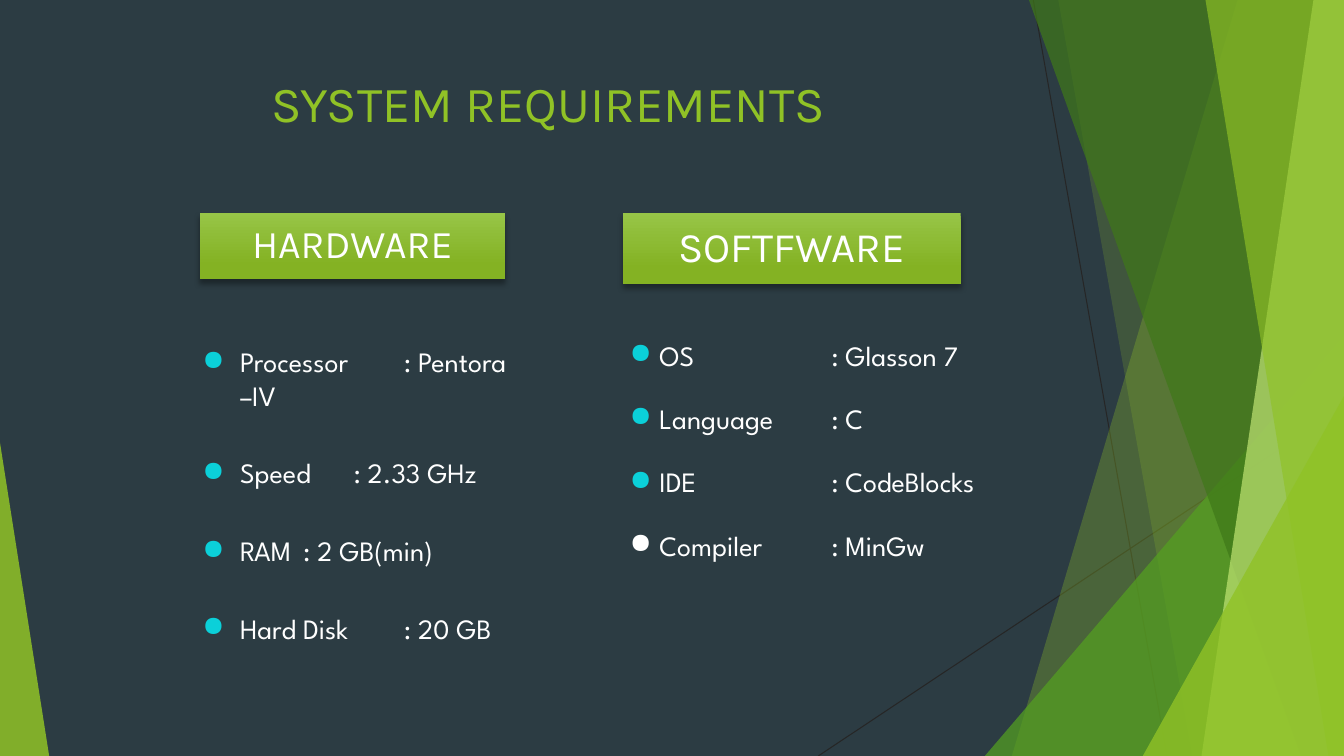
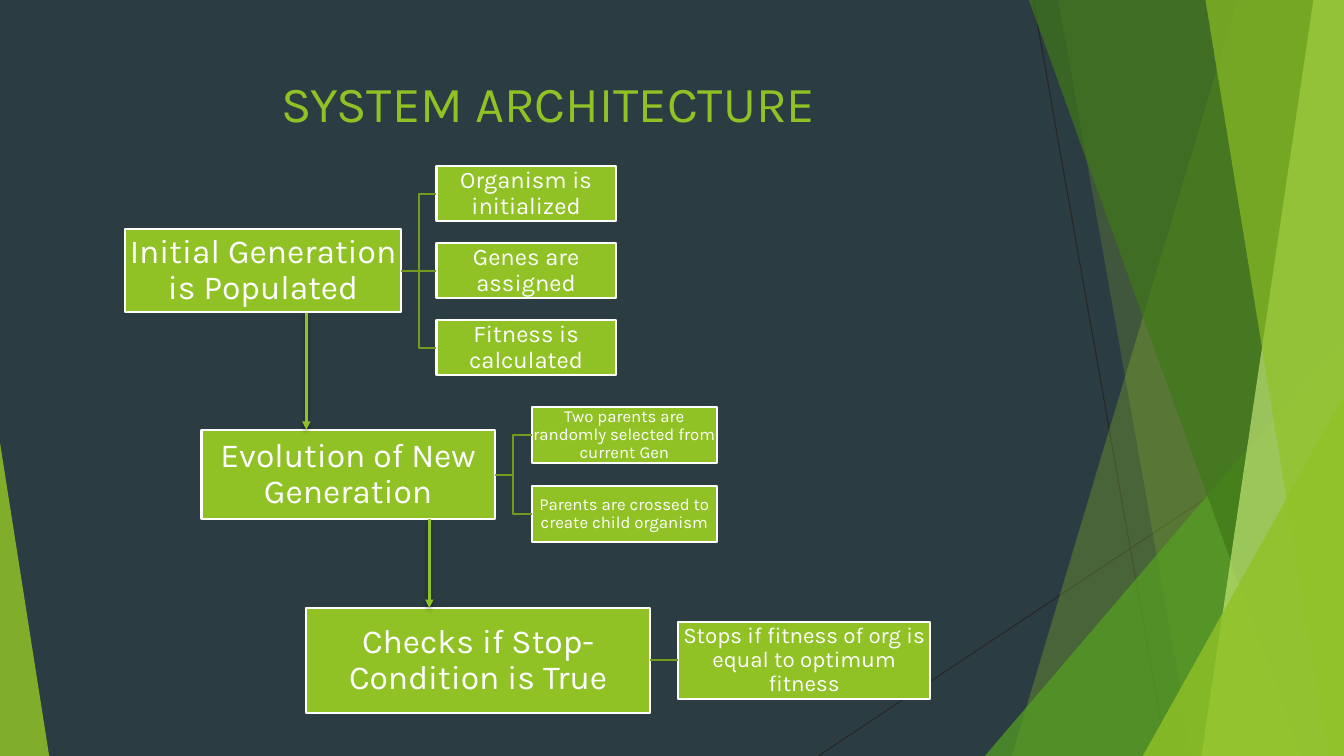
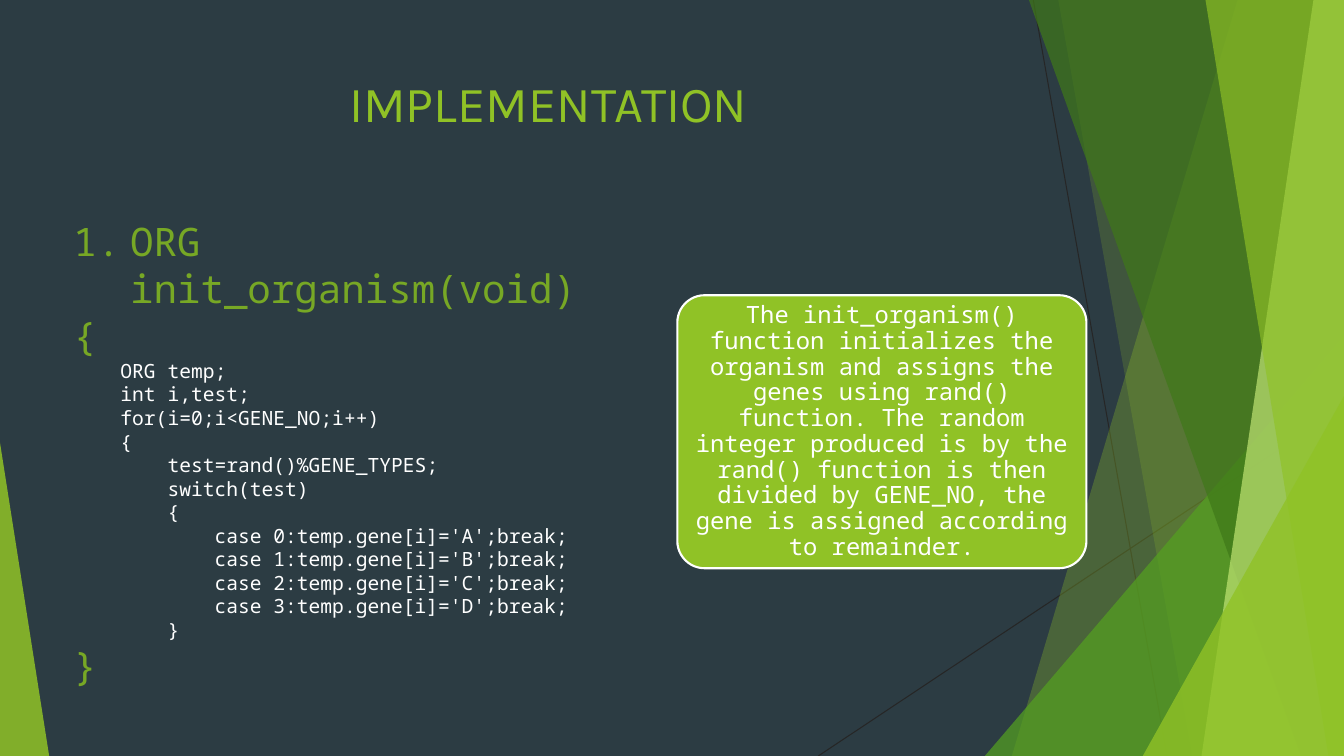
from dataclasses import dataclass

from lxml import etree
from pptx import Presentation
from pptx import util as u
from pptx.dml.color import RGBColor
from pptx.enum import shapes, text
from pptx.oxml import ns

Cm = u.Cm


@dataclass(frozen=True)
class Theme:
    width: float = 33.87
    height: float = 19.05
    background: str = "2C3C43"
    green: str = "90C226"
    leaf: str = "54A021"
    forest: str = "3F7819"
    lime: str = "C0E474"
    code_green: str = "77A825"
    bracket: str = "739B1E"
    gradient: tuple = ((0, "97C547"), (0.78, "84B223"))
    hairline: str = "262626"
    bullet: str = "0BD0D9"
    white: str = "FFFFFF"
    heading_font: str = "Karla"
    list_font: str = "League Spartan"
    code_font: str = "Noto Sans Mono"
    title_size: int = 36
    stage_size: int = 24
    list_size: int = 20
    note_size: int = 17
    signature_size: int = 28
    code_size: int = 14


THEME = Theme()


# --- XML helpers ---

def add_xml(parent, tag, **attributes):
    return etree.SubElement(parent, ns.qn(tag), attributes)


def set_alpha(fill, percent):
    colour = fill._xPr.find(".//" + ns.qn("a:srgbClr"))
    add_xml(colour, "a:alpha", val=str(percent * 1000))


def add_shadow(item, blur, distance):
    """Soft shadow straight below; blur and distance in points."""
    properties = item._element.spPr
    effects = properties.find(ns.qn("a:effectLst"))
    if effects is None:
        effects = add_xml(properties, "a:effectLst")
    shadow = add_xml(effects, "a:outerShdw", blurRad=str(u.Pt(blur)),
                     dist=str(u.Pt(distance)), dir="5400000", rotWithShape="0")
    black = add_xml(shadow, "a:srgbClr", val="000000")
    add_xml(black, "a:alpha", val="35000")


def set_hanging(paragraph, indent):
    properties = paragraph._p.get_or_add_pPr()
    properties.set("marL", str(Cm(indent)))
    properties.set("indent", str(-Cm(indent)))
    return properties


# --- Text and shape helpers ---

def rgb(colour):
    return RGBColor.from_string(colour)


def style_runs(paragraph, size, font, colour):
    for run in paragraph.runs:
        run.font.size = u.Pt(size)
        run.font.name = font
        run.font.color.rgb = rgb(colour)


def add_text_box(slide, place):
    frame = slide.shapes.add_textbox(*map(Cm, place)).text_frame
    frame.word_wrap = True
    return frame


def paint(shape, colour, outline=None, alpha=None):
    shape.shadow.inherit = False
    shape.fill.solid()
    shape.fill.fore_color.rgb = rgb(colour)
    if alpha:
        set_alpha(shape.fill, alpha)
    if outline:
        shape.line.color.rgb = rgb(outline)
        shape.line.width = u.Pt(1.5)
    else:
        shape.line.fill.background()


def fill_label(shape, wording, size, font=THEME.heading_font, margin=0.0):
    frame = shape.text_frame
    frame.word_wrap = True
    frame.vertical_anchor = text.MSO_ANCHOR.MIDDLE
    frame.margin_left = frame.margin_right = Cm(margin)
    frame.margin_top = frame.margin_bottom = Cm(margin)
    frame.text = wording
    label = frame.paragraphs[0]
    label.alignment = text.PP_ALIGN.CENTER
    label.line_spacing = 0.9
    style_runs(label, size, font, THEME.white)


def add_box(slide, place, wording, size, margin=0.0, font=THEME.heading_font,
            kind=shapes.MSO_SHAPE.RECTANGLE):
    box = slide.shapes.add_shape(kind, *map(Cm, place))
    paint(box, THEME.green, THEME.white)
    fill_label(box, wording, size, font, margin)
    return box


def add_line(slide, start, end, colour, width,
             kind=shapes.MSO_CONNECTOR.STRAIGHT):
    line = slide.shapes.add_connector(kind, *map(Cm, (*start, *end)))
    line.line.color.rgb = rgb(colour)
    line.line.width = u.Pt(width)
    add_xml(line._element.spPr, "a:effectLst")
    return line


# --- Shared backdrop and title ---

def add_facet(slide, top_x, bottom_x, colour, alpha):
    """Slanted pane that reaches the right edge of the slide."""
    right, bottom = THEME.width, THEME.height
    outline = slide.shapes.build_freeform(Cm(top_x), 0, scale=1.0)
    corners = ((right, 0), (right, bottom), (bottom_x, bottom))
    outline.add_line_segments([(Cm(x), Cm(y)) for x, y in corners], close=True)
    paint(outline.convert_to_shape(), colour, alpha=alpha)


def add_corner(slide, left, top, width, apex, colour, alpha):
    """Triangle standing on the bottom edge of the slide."""
    corner = slide.shapes.add_shape(
        shapes.MSO_SHAPE.ISOSCELES_TRIANGLE,
        *map(Cm, (left, top, width, THEME.height - top)))
    corner.adjustments[0] = apex
    paint(corner, colour, alpha=alpha)


def add_backdrop(slide):
    t = THEME
    add_line(slide, (26.04, 0), (29.41, t.height), t.hairline, 0.75)
    add_line(slide, (t.width, 10.24), (20.62, t.height), t.hairline, 0.75)
    add_facet(slide, 31.19, 25.5, t.green, 30)
    add_facet(slide, 26.67, 30.05, t.green, 20)
    add_corner(slide, 24.82, 8.46, 9.05, 1, t.leaf, 72)
    add_facet(slide, 25.93, 32.79, t.forest, 70)
    add_facet(slide, 33.1, 30.28, t.lime, 70)
    add_facet(slide, 30.38, 33.48, t.green, 65)
    add_corner(slide, 28.8, 9.98, 5.07, 1, t.green, 80)
    add_corner(slide, 0, 11.15, 1.24, 0, t.green, 85)


def start_slide(deck, heading):
    slide = deck.slides.add_slide(deck.slide_layouts[6])
    add_backdrop(slide)
    frame = add_text_box(slide, (1.88, 1.7, 23.88, 3.66))
    frame.text = heading
    title = frame.paragraphs[0]
    title.alignment = text.PP_ALIGN.CENTER
    style_runs(title, THEME.title_size, THEME.heading_font, THEME.green)
    return slide


# --- Requirements ---

def add_banner(slide, place, wording, size):
    banner = slide.shapes.add_shape(shapes.MSO_SHAPE.RECTANGLE, *map(Cm, place))
    paint(banner, THEME.green)
    banner.fill.gradient()
    banner.fill.gradient_angle = 270
    for stop, (position, colour) in zip(banner.fill.gradient_stops, THEME.gradient):
        stop.position = position
        stop.color.rgb = rgb(colour)
    add_shadow(banner, 4, 3)
    fill_label(banner, wording, size, margin=0.3)


def add_requirements(slide, place, items, indent, gap, spacing, bullets):
    frame = add_text_box(slide, place)
    for index, (item, bullet) in enumerate(zip(items, bullets)):
        entry = frame.paragraphs[0] if index == 0 else frame.add_paragraph()
        entry.text = item
        properties = set_hanging(entry, indent)
        add_xml(add_xml(properties, "a:buClr"), "a:srgbClr", val=bullet)
        add_xml(properties, "a:buChar", char="●")
        entry.line_spacing = spacing
        if index:
            entry.space_before = u.Pt(gap)
        style_runs(entry, THEME.list_size, THEME.list_font, THEME.white)


def build_requirements(deck):
    slide = start_slide(deck, "SYSTEM REQUIREMENTS")
    add_banner(slide, (5.03, 5.36, 7.7, 1.68), "HARDWARE", 28)
    add_banner(slide, (15.7, 5.36, 8.51, 1.8), "SOFTFWARE", 30)
    hardware = ("Processor \t: Pentora –IV", "Speed \t: 2.33 GHz",
                "RAM \t: 2 GB(min)", "Hard Disk \t: 20 GB")
    software = ("OS\t\t\t: Glasson 7", "Language\t\t: C",
                "IDE\t\t\t: CodeBlocks", "Compiler\t\t: MinGw")
    add_requirements(slide, (4.85, 8.56, 8.18, 8.71), hardware,
                     0.95, 31.5, 1.0, [THEME.bullet] * 4)
    add_requirements(slide, (15.62, 8.56, 10.8, 6.45), software,
                     0.75, 26, 0.8, [THEME.bullet] * 3 + [THEME.white])


# --- Architecture ---

@dataclass(frozen=True)
class Stage:
    wording: str
    left: float
    middle: float
    width: float
    height: float
    steps: tuple
    step_left: float
    step_width: float
    step_height: float
    step_size: int
    pitch: float = 0.0

    @property
    def top(self):
        return self.middle - self.height / 2

    @property
    def bottom(self):
        return self.middle + self.height / 2


STAGES = (
    Stage("Initial Generation is Populated", 3.15, 6.82, 6.96, 2.11,
          ("Organism is initialized", "Genes are assigned",
           "Fitness is calculated"), 11.0, 4.52, 1.37, 17, 1.94),
    Stage("Evolution of New Generation", 5.08, 11.96, 7.39, 2.26,
          ("Two parents are randomly selected from current Gen",
           "Parents are crossed to create child organism"),
          13.41, 4.65, 1.42, 12, 2.0),
    Stage("Checks if Stop-Condition is True", 7.72, 16.64, 8.66, 2.64,
          ("Stops if fitness of org is equal to optimum fitness",),
          17.09, 6.35, 1.93, 16),
)


def add_stage(slide, stage):
    stage_box = add_box(slide, (stage.left, stage.top, stage.width, stage.height),
                        stage.wording, THEME.stage_size, 0.05)
    for index, wording in enumerate(stage.steps):
        # Steps are spread evenly about the middle of their stage
        offset = (index - (len(stage.steps) - 1) / 2) * stage.pitch
        middle = stage.middle + offset
        step = add_box(slide, (stage.step_left, middle - stage.step_height / 2,
                               stage.step_width, stage.step_height),
                       wording, stage.step_size)
        kinds = shapes.MSO_CONNECTOR
        branch = add_line(slide, (stage.left + stage.width, stage.middle),
                          (stage.step_left, middle), THEME.bracket, 1.5,
                          kinds.ELBOW if offset else kinds.STRAIGHT)
        branch.begin_connect(stage_box, 3)
        branch.end_connect(step, 1)


def add_arrow(slide, x, upper, lower):
    arrow = add_line(slide, (x, upper.bottom), (x, lower.top), THEME.green, 2)
    add_xml(arrow.line._get_or_add_ln(), "a:tailEnd", type="triangle")
    add_shadow(arrow, 3, 2)


def build_architecture(deck):
    slide = start_slide(deck, "SYSTEM ARCHITECTURE")
    for stage in STAGES:
        add_stage(slide, stage)
    for x, upper, lower in zip((7.72, 10.82), STAGES, STAGES[1:]):
        add_arrow(slide, x, upper, lower)


# --- Implementation ---

SIGNATURE = "ORG init_organism(void)"
BODY = """\
    ORG temp;
    int i,test;
    for(i=0;i<GENE_NO;i++)
    {
        test=rand()%GENE_TYPES;
        switch(test)
        {
            case 0:temp.gene[i]='A';break;
            case 1:temp.gene[i]='B';break;
            case 2:temp.gene[i]='C';break;
            case 3:temp.gene[i]='D';break;
        }""".split("\n")
EXPLANATION = (
    "The init_organism() function initializes the organism and assigns the "
    "genes using rand() function. The random integer produced is by the rand() "
    "function is then divided by GENE_NO, the gene is assigned according to "
    "remainder.")


def add_code(slide, place):
    frame = add_text_box(slide, place)
    lines = [SIGNATURE, "{", *BODY, "}"]
    for index, line in enumerate(lines):
        row = frame.paragraphs[0] if index == 0 else frame.add_paragraph()
        row.text = line
        if line == SIGNATURE:
            add_xml(set_hanging(row, 1.43), "a:buAutoNum", type="arabicPeriod")
        if line in BODY:
            style_runs(row, THEME.code_size, THEME.code_font, THEME.white)
        else:
            style_runs(row, THEME.signature_size, THEME.code_font,
                       THEME.code_green)


def build_implementation(deck):
    slide = start_slide(deck, "IMPLEMENTATION")
    add_code(slide, (1.6, 5.36, 15.47, 11.02))
    note = add_box(slide, (17.07, 7.44, 10.31, 6.88), EXPLANATION,
                   THEME.note_size, 0.18, THEME.code_font,
                   shapes.MSO_SHAPE.ROUNDED_RECTANGLE)
    note.adjustments[0] = 0.1


def main():
    deck = Presentation()
    deck.slide_width, deck.slide_height = Cm(THEME.width), Cm(THEME.height)
    backdrop = deck.slide_master.background.fill
    backdrop.solid()
    backdrop.fore_color.rgb = rgb(THEME.background)
    build_requirements(deck)
    build_architecture(deck)
    build_implementation(deck)
    deck.save("out.pptx")


if __name__ == "__main__":
    main()
